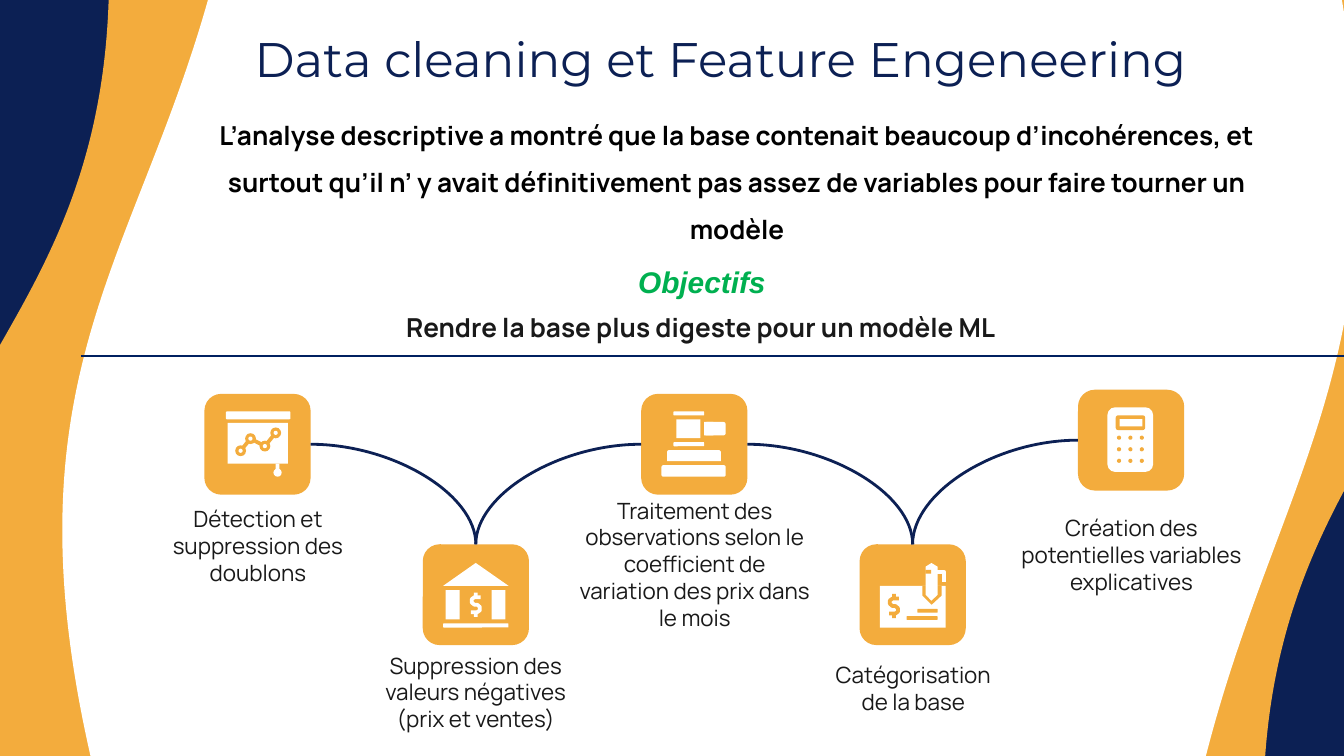
from lxml import etree
from pptx import Presentation
from pptx.dml.color import RGBColor
from pptx.enum.shapes import MSO_CONNECTOR, MSO_SHAPE
from pptx.enum.text import MSO_ANCHOR, PP_ALIGN
from pptx.oxml.ns import qn
from pptx.util import Pt

NAVY = RGBColor(0x0C, 0x20, 0x54)
DIVIDER_BLUE = RGBColor(0x00, 0x20, 0x60)
ORANGE = RGBColor(0xF3, 0xAC, 0x3D)
WHITE = RGBColor(0xFF, 0xFF, 0xFF)
BLACK = RGBColor(0x00, 0x00, 0x00)
DARK = RGBColor(0x19, 0x19, 0x19)
GREEN = RGBColor(0x00, 0xB0, 0x50)

WAVE = MSO_SHAPE.FLOWCHART_DOCUMENT
RECTANGLE = MSO_SHAPE.RECTANGLE
ROUNDED = MSO_SHAPE.ROUNDED_RECTANGLE
DOME = MSO_SHAPE.ROUND_2_SAME_RECTANGLE
OVAL = MSO_SHAPE.OVAL
STRAIGHT = MSO_CONNECTOR.STRAIGHT
CURVE = MSO_CONNECTOR.CURVE
MIDDLE = MSO_ANCHOR.MIDDLE
TOP = MSO_ANCHOR.TOP
CENTER = PP_ALIGN.CENTER
LEFT = PP_ALIGN.LEFT

CARD_WIDTH, CARD_HEIGHT = 56.9, 54
CARD_LEFT, CARD_PITCH = 109.5, 117
CARD_TOPS = [211, 291.6, 211, 291.6, 208.8]


def write_text(frame, text, size=12, font="Manrope", color=DARK, bold=False,
               italic=False, align=CENTER, anchor=MIDDLE, spacing=1.0, inset=7.2):
    frame.word_wrap = True
    frame.vertical_anchor = anchor
    frame.margin_left = frame.margin_right = Pt(7.2)
    frame.margin_top = frame.margin_bottom = Pt(inset)
    frame.text = text
    for paragraph in frame.paragraphs:
        paragraph.alignment = align
        paragraph.line_spacing = spacing
        paragraph.space_before = Pt(0)
        paragraph.font.size = Pt(size)
        paragraph.font.name = font
        paragraph.font.color.rgb = color
        paragraph.font.bold = bold
        paragraph.font.italic = italic


class SlideBuilder:
    def __init__(self, slide):
        self.slide = slide
        self.shapes = slide.shapes

    def background(self, color):
        self.slide.background.fill.solid()
        self.slide.background.fill.fore_color.rgb = color

    def title(self, text, left, top, width, height, **style):
        title = self.shapes.title
        title.left, title.top = Pt(left), Pt(top)
        title.width, title.height = Pt(width), Pt(height)
        write_text(title.text_frame, text, **style)
        self.shapes._spTree.append(title._element)

    def text(self, text, left, top, width, height, **style):
        box = self.shapes.add_textbox(Pt(left), Pt(top), Pt(width), Pt(height))
        write_text(box.text_frame, text, **style)

    def shape(self, kind, left, top, width, height, color=WHITE):
        shape = self.shapes.add_shape(kind, Pt(left), Pt(top), Pt(width), Pt(height))
        shape.shadow.inherit = False
        shape.fill.solid()
        shape.fill.fore_color.rgb = color
        shape.line.fill.background()
        return shape

    def wave(self, left, top, width, height, rotation, color):
        shape = self.shape(WAVE, left, top, width, height, color)
        shape.rotation = rotation
        shape._element.spPr.xfrm.set("flipH", "1")

    def outline(self, points, color=WHITE, stroke=None):
        start, *others = [(Pt(x), Pt(y)) for x, y in points]
        builder = self.shapes.build_freeform(*start)
        builder.add_line_segments(others, close=stroke is None)
        shape = builder.convert_to_shape()
        shape.shadow.inherit = False
        if stroke:
            shape.fill.background()
            shape.line.color.rgb = color
            shape.line.width = Pt(stroke)
        else:
            shape.fill.solid()
            shape.fill.fore_color.rgb = color
            shape.line.fill.background()

    def line(self, kind, start, end, color, width):
        line = self.shapes.add_connector(kind, *map(Pt, start + end))
        line.line.color.rgb = color
        line.line.width = Pt(width)
        properties = line._element.spPr
        etree.SubElement(properties, qn("a:effectLst"))
        if kind == CURVE:
            properties.find(qn("a:prstGeom")).set("prst", "curvedConnector2")

    def icon(self, left, top, parts):
        for kind, geometry, *style in parts:
            if kind == "outline":
                self.outline([(left + x, top + y) for x, y in geometry], *style)
            else:
                x, y, width, height = geometry
                self.shape(kind, left + x, top + y, width, height, *style)


def dot(x, y, radius, color):
    return OVAL, (x - radius, y - radius, 2 * radius, 2 * radius), color


def dollar(x, y, color):
    curve = [(2.6, -4), (-0.8, -4), (-2.2, -3), (-2.2, -1.2), (-0.8, 0),
             (0.8, 0), (2.2, 1.2), (2.2, 3), (0.8, 4), (-2.6, 4)]
    return [("outline", [(x + dx, y + dy) for dx, dy in curve], color, 2),
            (RECTANGLE, (x - 1, y - 6.5, 2, 2.5), color),
            (RECTANGLE, (x - 1, y + 4, 2, 2.5), color)]


CHART_NODES = [(19.4, 30.5), (24.7, 24), (32.4, 28), (38.2, 20.9)]
BOARD = [
    (ROUNDED, (11.5, 9.4, 34.6, 4.3)),
    (RECTANGLE, (12.4, 15.6, 32.4, 21.8)),
    (RECTANGLE, (38.2, 37.4, 2, 5)),
    (OVAL, (37, 40, 4.4, 4.4)),
    ("outline", CHART_NODES, ORANGE, 2),
    *[dot(x, y, 2.9, ORANGE) for x, y in CHART_NODES],
    *[dot(x, y, 1.1, WHITE) for x, y in CHART_NODES],
]
BANK = [
    ("outline", [(10.9, 22.3), (28.4, 10), (46, 22.3)]),
    *[(RECTANGLE, (x, 24.5, 7.4, 15.8)) for x in (12.3, 36.8)],
    (ROUNDED, (10.9, 42.4, 35, 2.2)),
    *dollar(28.4, 32.4, WHITE),
]
GAVEL = [
    (ROUNDED, (33.8, 15.1, 11.5, 7.2)),
    (RECTANGLE, (33.8, 15.1, 5, 7.2)),
    (DOME, (13.9, 30.2, 28.8, 5.9)),
    (ROUNDED, (10.9, 38.2, 34.4, 6.2)),
    (RECTANGLE, (18.9, 13.7, 12.8, 10.1)),
    *[(ROUNDED, (17.3, y, 16.4, 2.2)) for y in (9.4, 25.9)],
]
CHEQUE = [
    (RECTANGLE, (10.9, 22.3, 35.2, 22.3)),
    *dollar(18.4, 33.1, ORANGE),
    (ROUNDED, (31, 34.6, 10.8, 2), ORANGE),
    (ROUNDED, (25.2, 38.5, 16.6, 2), ORANGE),
    ("outline", [(33.6, 22.3), (43.9, 22.3), (43.9, 27.5), (38.6, 32.4), (33.6, 27.5)], ORANGE),
    ("outline", [(35.3, 12), (38.5, 10), (41.8, 12), (41.8, 27), (38.5, 30.2), (35.3, 27)]),
    ("outline", [(41, 14.7), (45.1, 14.7), (45.1, 20)], WHITE, 2),
    (RECTANGLE, (35.3, 13.7, 3, 2), ORANGE),
]
CALCULATOR = [
    (ROUNDED, (15.8, 9.4, 24.5, 34.6)),
    (ROUNDED, (20.2, 13.7, 15.8, 7.9), ORANGE),
    (RECTANGLE, (22.3, 15.8, 12.2, 3.9)),
    *[dot(22 + 6.1 * column, 25.7 + 6.2 * row, 1.1, ORANGE)
      for row in range(3) for column in range(3)],
]
STEPS = [
    (BOARD, "Détection et suppression des doublons", (69.1, 272.2, 138.2, 40.3)),
    (BANK, "Suppression des valeurs négatives (prix et ventes)", (185.8, 350.6, 138.2, 40.3)),
    (GAVEL, "Traitement des observations selon le coefficient de variation des prix dans le mois",
     (303.1, 266.4, 138.2, 71.3)),
    (CHEQUE, "Catégorisation\nde la base", (423.4, 348.5, 131.8, 40.3)),
    (CALCULATOR, "Création des potentielles variables explicatives", (537.1, 270, 138.2, 54)),
]


def main():
    presentation = Presentation()
    presentation.slide_width, presentation.slide_height = Pt(720), Pt(405)
    builder = SlideBuilder(presentation.slides.add_slide(presentation.slide_layouts[5]))

    builder.background(NAVY)
    builder.wave(2.2, -67.7, 448.6, 556.6, 90, ORANGE)
    builder.wave(283.7, -68.4, 450, 556.6, 270, ORANGE)
    builder.wave(104.4, -27.4, 696.2, 564.5, 270, WHITE)
    builder.wave(-23, -145.4, 655.2, 556.6, 90, WHITE)

    builder.title("Data cleaning et Feature Engeneering", 82.8, 12.2, 607, 38.2,
                  size=26, font="Montserrat", color=NAVY)
    builder.text("L’analyse descriptive a montré que la base contenait beaucoup d’incohérences, et "
                 "surtout qu’il n’ y avait définitivement pas assez de variables pour faire tourner "
                 "un modèle", 100.8, 51.8, 588.2, 83.5, size=14, color=BLACK, bold=True,
                 anchor=TOP, spacing=1.5, inset=3.6)
    builder.text("Rendre la base plus digeste pour un modèle ML", 185.8, 159.1, 379.4, 32.4,
                 size=14, bold=True)

    centers = []
    for index, (icon, label, label_place) in enumerate(STEPS):
        left, top = CARD_LEFT + CARD_PITCH * index, CARD_TOPS[index]
        centers.append(left + CARD_WIDTH / 2)
        builder.shape(ROUNDED, left, top, CARD_WIDTH, CARD_HEIGHT, ORANGE)
        builder.icon(left, top, icon)
        builder.text(label, *label_place)

    for lower in (1, 3):
        for upper, side in ((lower - 1, 1), (lower + 1, -1)):
            start = (centers[upper] + side * CARD_WIDTH / 2, CARD_TOPS[upper] + CARD_HEIGHT / 2)
            builder.line(CURVE, start, (centers[lower], CARD_TOPS[lower]), NAVY, 1.5)

    builder.line(STRAIGHT, (43.2, 190.8), (720, 190.8), DIVIDER_BLUE, 0.75)
    builder.text("Objectifs", 334.8, 137.5, 109.4, 26.6, size=16, font="Arial", color=GREEN,
                 bold=True, italic=True, align=LEFT, anchor=TOP, inset=3.6)
    presentation.save("out.pptx")


if __name__ == "__main__":
    main()
